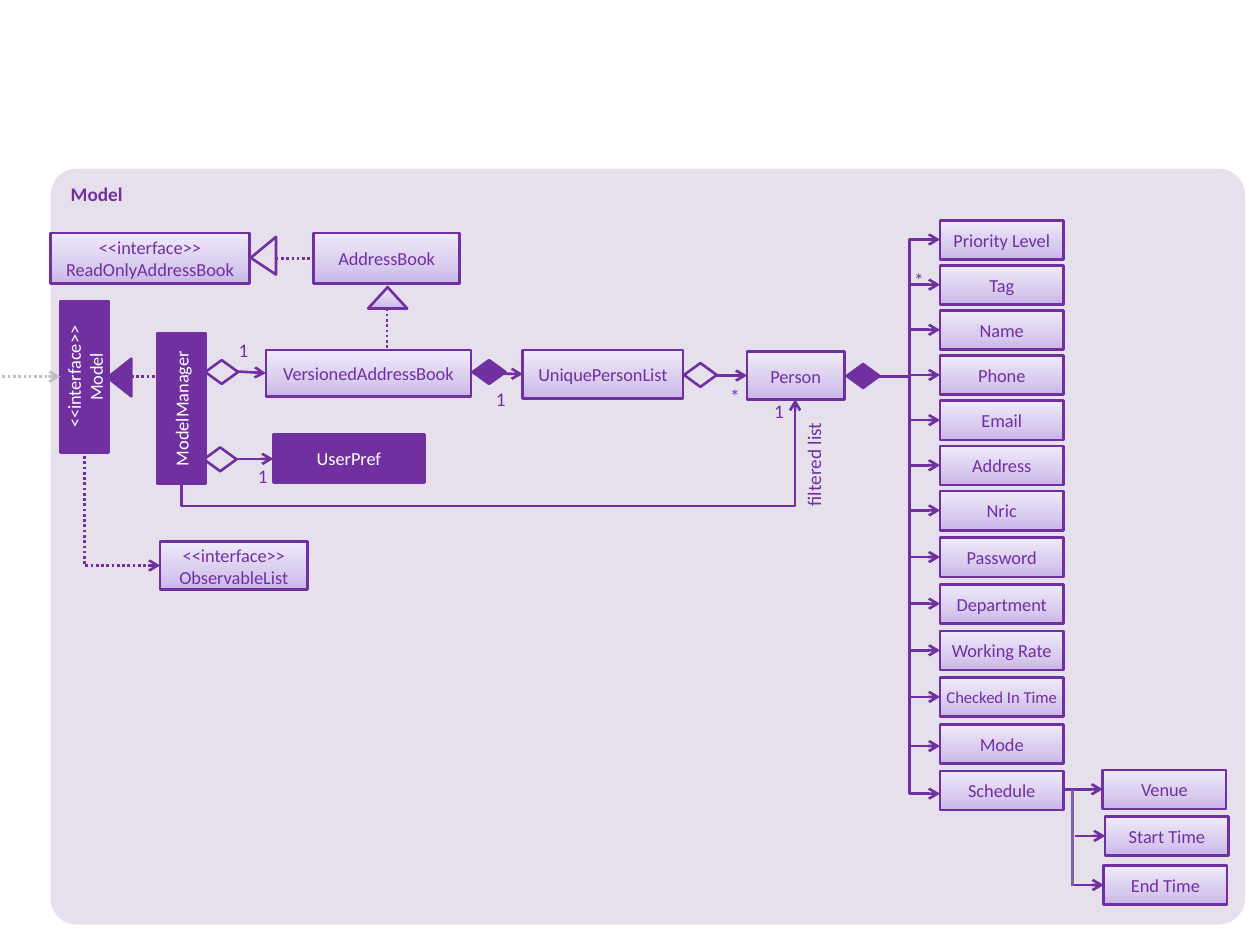
from copy import deepcopy

from lxml import etree
from pptx import Presentation
from pptx import util as u
from pptx.dml import color
from pptx.enum import dml, shapes, text
from pptx.oxml import ns

PURPLE, PANEL, WHITE, GREY, VIOLET = "7030A0", "E6E0EC", "FFFFFF", "BFBFBF", "8064A2"
GRADIENT = ((0, "C9B5E8"), (0.35, "D8CBEE"), (1, "F0EAF9"))
KIND = shapes.MSO_SHAPE
ALIGN = text.PP_ALIGN
ANCHOR = text.MSO_ANCHOR
ATTRIBUTE_SIZE = (2.49, 0.79)
HALF_ATTRIBUTE = 0.39
LONG_NAME = "Checked In Time"


def rgb(value):
    return color.RGBColor.from_string(value)


def lengths(values):
    return [u.Cm(value) for value in values]


def write(frame, paragraphs, size, ink, align=ALIGN.CENTER, bold=False):
    frame.word_wrap = True
    for index, content in enumerate(paragraphs):
        para = frame.paragraphs[0] if index == 0 else frame.add_paragraph()
        para.alignment = align
        for number, words in enumerate(content.split("\n")):
            if number:
                para.add_line_break()
            span = para.add_run()
            span.text = words
            span.font.name = "Calibri"
            span.font.size = u.Pt(size)
            span.font.bold = bold
            span.font.color.rgb = rgb(ink)


def paint(shape, fill):
    if fill is None:
        shape.fill.background()
    elif fill == GRADIENT:
        shape.fill.gradient()
        shape.fill.gradient_angle = 90
        stops = next(shape.element.iter(ns.qn("a:gsLst")))
        stops.insert(1, deepcopy(stops[0]))
        for stop, (position, value) in zip(shape.fill.gradient_stops, GRADIENT):
            stop.position = position
            stop.color.rgb = rgb(value)
    else:
        shape.fill.solid()
        shape.fill.fore_color.rgb = rgb(fill)


def add_figure(page, kind, place, fill=None, rotation=0, outline=PURPLE, adjust=None):
    shape = page.shapes.add_shape(kind, *lengths(place))
    shape.shadow.inherit = False
    shape.rotation = rotation
    paint(shape, fill)
    if outline:
        shape.line.color.rgb = rgb(outline)
        shape.line.width = u.Pt(1.5)
    else:
        shape.line.fill.background()
    if adjust is not None:
        shape.adjustments[0] = adjust
    return shape


def add_class(page, place, *paragraphs, fill=GRADIENT, ink=PURPLE, rotation=0, size=10.5):
    box = add_figure(page, KIND.RECTANGLE, place, fill, rotation)
    frame = box.text_frame
    frame.vertical_anchor = ANCHOR.MIDDLE
    frame.margin_left = frame.margin_right = u.Cm(0.05)
    write(frame, paragraphs, size, ink)


def add_diamond(page, left, top, fill=None):
    add_figure(page, KIND.FLOWCHART_DECISION, (left, top, 0.66, 0.48), fill)


def add_label(page, words, left, top, width=0.53, height=0.51):
    box = page.shapes.add_textbox(*lengths((left, top, width, height)))
    frame = box.text_frame
    frame.margin_left = frame.margin_right = frame.margin_top = frame.margin_bottom = 0
    write(frame, [words], 11, PURPLE)


def add_link(page, start, end, arrow=True, dotted=False, ink=PURPLE, width=1.5, elbow=False):
    kind = shapes.MSO_CONNECTOR.ELBOW if elbow else shapes.MSO_CONNECTOR.STRAIGHT
    link = page.shapes.add_connector(kind, *lengths(start + end))
    link.line.color.rgb = rgb(ink)
    link.line.width = u.Pt(width)
    if dotted:
        link.line.dash_style = dml.MSO_LINE.ROUND_DOT
    properties = link.element.spPr
    if arrow:
        etree.SubElement(properties.find(ns.qn("a:ln")), ns.qn("a:tailEnd"), type="arrow")
    etree.SubElement(properties, ns.qn("a:effectLst"))
    return link


def add_turned_link(page, start, end, preset, turn, flips, adjust=None, dotted=False):
    middle_x, middle_y = (start[0] + end[0]) / 2, (start[1] + end[1]) / 2
    half_width, half_height = abs(end[1] - start[1]) / 2, abs(end[0] - start[0]) / 2
    link = add_link(page, (middle_x - half_width, middle_y - half_height),
                    (middle_x + half_width, middle_y + half_height), dotted=dotted, elbow=True)
    frame = link.element.spPr.find(ns.qn("a:xfrm"))
    frame.set("rot", str(turn * 60000))
    for flip in flips:
        frame.set(flip, "1")
    geometry = link.element.spPr.find(ns.qn("a:prstGeom"))
    geometry.set("prst", preset)
    if adjust is not None:
        guides = geometry.find(ns.qn("a:avLst"))
        etree.SubElement(guides, ns.qn("a:gd"), name="adj1", fmla=f"val {adjust}")


def add_down_right(page, start, end, dotted=False):
    add_turned_link(page, start, end, "bentConnector2", 270, ["flipH"], dotted=dotted)


def add_core(page):
    panel = add_figure(page, KIND.ROUNDED_RECTANGLE, (1.02, 3.4, 24.08, 15.24), PANEL,
                       outline=None, adjust=0.035)
    panel.text_frame.vertical_anchor = ANCHOR.TOP
    write(panel.text_frame, ["Model"], 11, PURPLE, ALIGN.LEFT, True)

    for place, rotation, paragraphs in (
        ((5.51, 8.76, 3.05, 0.97), 0, ["UserPref"]),
        ((2.13, 7.75, 3.05, 0.97), 270, ["ModelManager"]),
        ((0.18, 7.11, 3.05, 0.97), 270, ["<<interface>>", "Model"]),
    ):
        add_class(page, place, *paragraphs, fill=PURPLE, ink=WHITE, rotation=rotation)

    for name, place in (
        ("VersionedAddressBook", (5.36, 7.06, 4.14, 0.94)),
        ("UniquePersonList", (10.54, 7.06, 3.23, 0.97)),
        ("Person", (15.06, 7.09, 1.96, 0.97)),
        ("<<interface>>\nReadOnlyAddressBook", (1.02, 4.7, 4.01, 1.02)),
        ("AddressBook", (6.32, 4.7, 2.95, 1.02)),
        ("<<interface>>\nObservableList", (3.23, 10.92, 2.97, 0.97)),
    ):
        add_class(page, place, name)


def add_relations(page):
    for start, end in (
        ((4.78, 9.25), (5.51, 9.25)),
        ((4.8, 7.49), (5.36, 7.52)),
        ((14.45, 7.57), (15.06, 7.57)),
        ((9.53, 7.52), (10.54, 7.54)),
    ):
        add_link(page, start, end)
    for start, end in (
        ((2.64, 7.59), (3.25, 7.59)),
        ((7.8, 6.22), (7.8, 7.04)),
        ((5.56, 5.21), (6.32, 5.21)),
    ):
        add_link(page, start, end, arrow=False, dotted=True)
    add_link(page, (0.05, 7.59), (1.22, 7.59), dotted=True, ink=GREY)
    add_turned_link(page, (3.66, 9.75), (16.03, 8.05), "bentConnector3", 90,
                    ["flipH", "flipV"], -26700)
    add_down_right(page, (1.7, 9.09), (3.23, 11.4), dotted=True)

    for left, top in ((4.11, 9.02), (4.14, 7.26), (13.79, 7.32)):
        add_diamond(page, left, top)
    for left, top in ((9.53, 7.26), (17.07, 7.34)):
        add_diamond(page, left, top, PURPLE)
    triangle = KIND.ISOSCELES_TRIANGLE
    add_figure(page, triangle, (2.03, 7.37, 0.76, 0.48), PURPLE, 270)
    add_figure(page, triangle, (7.42, 5.79, 0.79, 0.43), GRADIENT)
    add_figure(page, triangle, (4.93, 4.9, 0.76, 0.51), PANEL, 270, adjust=0.445)


def add_attributes(page):
    upper = ("Priority Level", "Tag", "Name", "Phone", "Email", "Address")
    lower = ("Nric", "Password", "Department", "Working Rate", LONG_NAME, "Mode", "Schedule")
    rows = [(name, 4.44 + 0.91 * index) for index, name in enumerate(upper)]
    rows += [(name, 9.9 + 0.94 * index) for index, name in enumerate(lower)]
    for name, top in rows:
        size = 9.5 if name == LONG_NAME else 10.5
        add_class(page, (18.95, top, *ATTRIBUTE_SIZE), name, size=size)
    for name, top in rows[:9]:
        add_link(page, (17.72, 7.59), (18.95, top + HALF_ATTRIBUTE), elbow=True)
    for start, end in ((7.59, 13.11), (8.0, 14.05), (9.5, 15.04), (10.46, 16.0)):
        add_down_right(page, (18.33, start), (18.95, end))


def add_schedule_parts(page):
    for name, left, top, start in (
        ("Venue", 22.23, 15.52, 21.44),
        ("Start Time", 22.28, 16.46, 21.67),
        ("End Time", 22.25, 17.45, 21.62),
    ):
        add_class(page, (left, top, *ATTRIBUTE_SIZE), name)
        level = top + HALF_ATTRIBUTE
        add_link(page, (start, level), (left, level))
    add_link(page, (21.62, 15.93), (21.62, 17.86), arrow=False, ink=VIOLET, width=2)


def add_labels(page):
    for words, left, top in (
        ("1", 9.83, 7.8), ("*", 14.55, 7.75), ("1", 5.03, 9.35),
        ("1", 15.44, 8.05), ("*", 18.26, 5.41),
    ):
        add_label(page, words, left, top)
    add_label(page, "1", 4.67, 6.81, 0.48, 0.38)
    box = page.shapes.add_textbox(*lengths((15.19, 9.12, 2.44, 0.74)))
    box.rotation = 270
    write(box.text_frame, ["filtered list"], 11, PURPLE, ALIGN.RIGHT)


def main():
    deck = Presentation()
    deck.slide_width, deck.slide_height = u.Cm(25.4), u.Cm(19.05)
    page = deck.slides.add_slide(deck.slide_layouts[6])
    add_core(page)
    add_relations(page)
    add_attributes(page)
    add_schedule_parts(page)
    add_labels(page)
    deck.save("out.pptx")


main()
